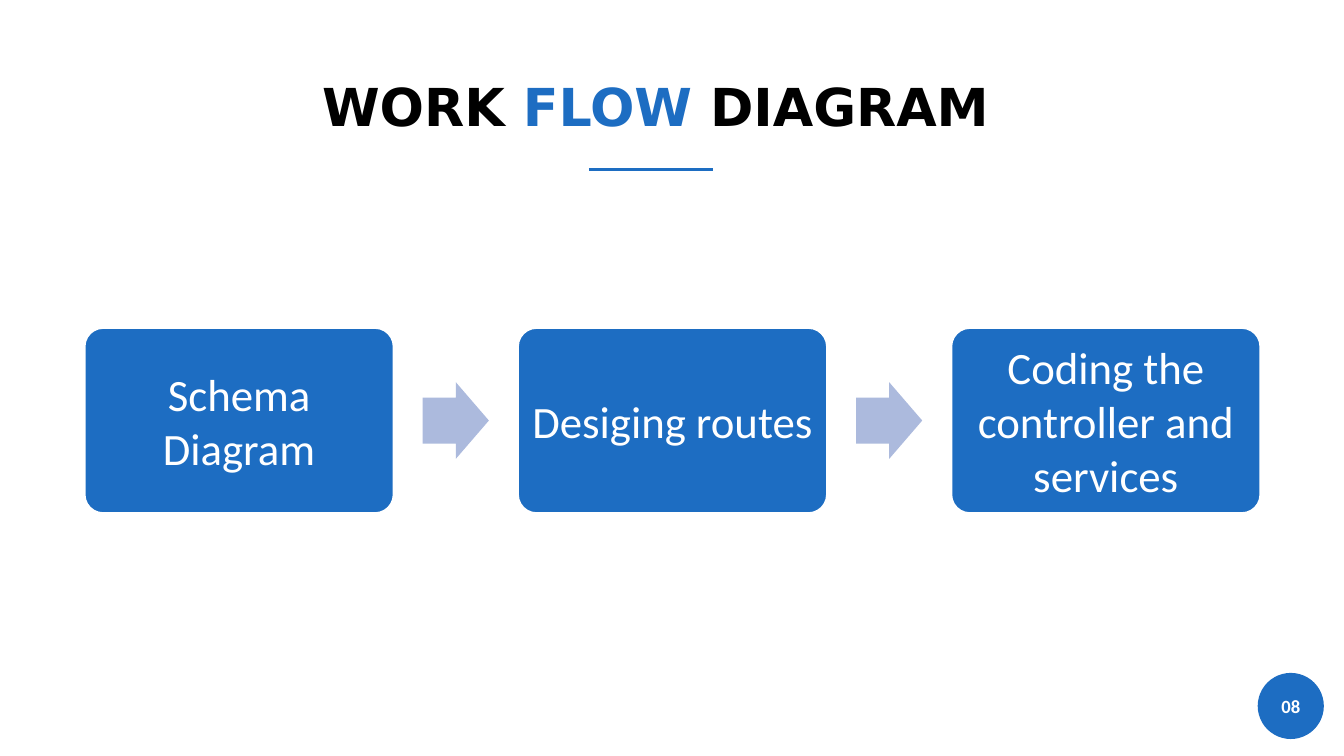
import pptx
import pptx.dml.color
import pptx.enum.shapes
import pptx.enum.text
import pptx.oxml
import pptx.util

Cm = pptx.util.Cm
Pt = pptx.util.Pt
RGBColor = pptx.dml.color.RGBColor
Shape = pptx.enum.shapes.MSO_SHAPE
Align = pptx.enum.text.PP_ALIGN
Anchor = pptx.enum.text.MSO_ANCHOR

BLUE = RGBColor(0x1D, 0x6D, 0xC2)
PALE_BLUE = RGBColor(0xAC, 0xBA, 0xDD)
WHITE = RGBColor(0xFF, 0xFF, 0xFF)
BLACK = RGBColor(0, 0, 0)

STEPS = ["Schema Diagram", "Desiging routes", "Coding the controller and services"]
STEP_LEFT, STEP_TOP = 1.6, 6.2
STEP_WIDTH, STEP_HEIGHT = 5.84, 3.5
STEP_PITCH = 8.19
ARROW_WIDTH, ARROW_HEIGHT = 1.25, 1.45


class FlowSlide:
    title_font = "DejaVu Sans"
    body_font = "Calibri"

    def __init__(self, deck):
        self.slide = deck.slides.add_slide(deck.slide_layouts[5])

    def format_run(self, run, font, size, color, bold=False):
        run.font.name = font
        run.font.size = Pt(size)
        run.font.color.rgb = color
        run.font.bold = bold

    def title(self, parts, left, top, width, height):
        """Fill the title from (text, colour) parts."""
        heading = self.slide.shapes.title
        heading.left, heading.top = Cm(left), Cm(top)
        heading.width, heading.height = Cm(width), Cm(height)
        frame = heading.text_frame
        frame.word_wrap = False
        frame.auto_size = pptx.enum.text.MSO_AUTO_SIZE.NONE
        frame.vertical_anchor = Anchor.TOP
        frame.margin_left = frame.margin_right = Cm(0.24)
        frame.margin_top = frame.margin_bottom = Cm(0.11)
        paragraph = frame.paragraphs[0]
        paragraph.alignment = Align.LEFT
        for text, color in parts:
            run = paragraph.add_run()
            run.text = text
            self.format_run(run, self.title_font, 28, color, bold=True)

    def rule(self, left, right, y):
        underline = self.slide.shapes.add_connector(
            pptx.enum.shapes.MSO_CONNECTOR.STRAIGHT, Cm(left), Cm(y), Cm(right), Cm(y))
        underline.line.color.rgb = BLUE
        underline.line.width = Pt(1.5)
        underline._element.spPr.append(pptx.oxml.parse_xml(
            '<a:effectLst xmlns:a="http://schemas.openxmlformats.org/drawingml/2006/main"/>'))

    def shape(self, kind, left, top, width, height, fill):
        shape = self.slide.shapes.add_shape(kind, Cm(left), Cm(top), Cm(width), Cm(height))
        shape.shadow.inherit = False
        shape.fill.solid()
        shape.fill.fore_color.rgb = fill
        shape.line.fill.background()
        return shape

    def label(self, shape, text, size, margin, bold=False):
        frame = shape.text_frame
        frame.text = text
        frame.word_wrap = True
        frame.vertical_anchor = Anchor.MIDDLE
        frame.margin_left = frame.margin_right = Cm(margin)
        frame.margin_top = frame.margin_bottom = Cm(margin)
        paragraph = frame.paragraphs[0]
        paragraph.alignment = Align.CENTER
        self.format_run(paragraph.runs[0], self.body_font, size, WHITE, bold)

    def step(self, text, left):
        box = self.shape(Shape.ROUNDED_RECTANGLE, left, STEP_TOP, STEP_WIDTH, STEP_HEIGHT, BLUE)
        box.adjustments[0] = 0.1
        box.line.color.rgb = WHITE
        box.line.width = Pt(1)
        self.label(box, text, 24, 0.14)

    def arrow(self, left):
        top = STEP_TOP + (STEP_HEIGHT - ARROW_HEIGHT) / 2
        arrow = self.shape(Shape.RIGHT_ARROW, left, top, ARROW_WIDTH, ARROW_HEIGHT, PALE_BLUE)
        arrow.adjustments[0] = 0.6
        arrow.adjustments[1] = 0.5

    def page_number(self, text, left, top, diameter):
        badge = self.shape(Shape.OVAL, left, top, diameter, diameter, BLUE)
        self.label(badge, text, 10, 0)
        badge.text_frame.paragraphs[0].runs[0].font.bold = True


def main():
    deck = pptx.Presentation()
    deck.slide_width, deck.slide_height = Cm(25.4), Cm(14.29)

    flow = FlowSlide(deck)
    flow.title([("WORK ", BLACK), ("FLOW", BLUE), (" DIAGRAM", BLACK)], 5.85, 1.3, 13.26, 1.42)
    flow.rule(11.13, 13.48, 3.2)

    arrow_offset = (STEP_WIDTH + STEP_PITCH - ARROW_WIDTH) / 2
    for index, text in enumerate(STEPS):
        left = STEP_LEFT + index * STEP_PITCH
        flow.step(text, left)
        if index < len(STEPS) - 1:
            flow.arrow(left + arrow_offset)

    flow.page_number("08", 23.77, 12.72, 1.25)
    deck.save("out.pptx")


if __name__ == "__main__":
    main()
